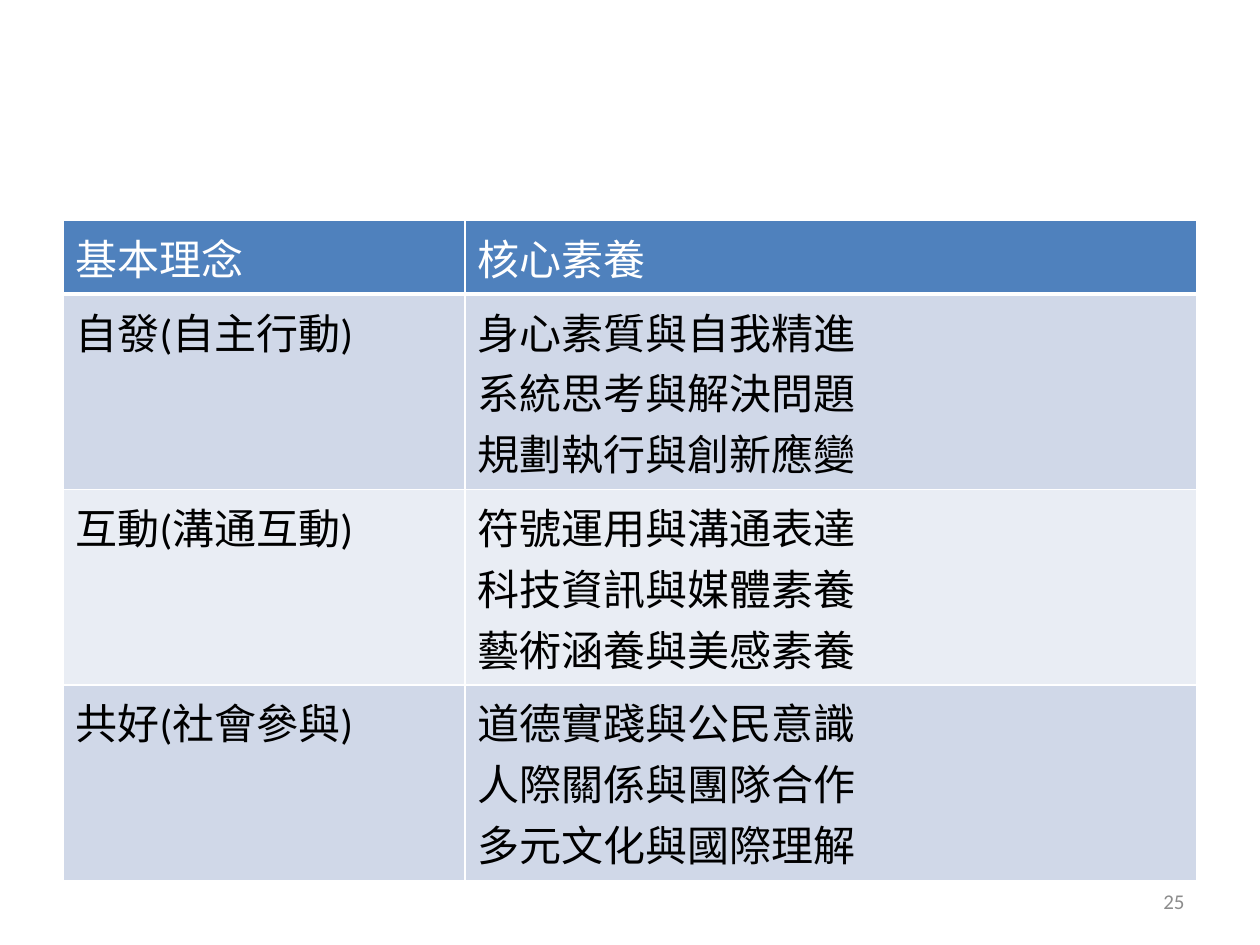
from dataclasses import dataclass

from lxml.etree import SubElement
from pptx import Presentation
from pptx.dml.color import RGBColor
from pptx.enum.text import MSO_ANCHOR, PP_ALIGN
from pptx.oxml.ns import qn
from pptx.util import Inches, Pt

FONT = "Calibri"
COLORS = {
    "header": "4F81BD",
    "band_dark": "D0D8E8",
    "band_light": "E9EDF4",
    "white": "FFFFFF",
    "text": "000000",
    "number": "8C8C8C",
}
WIDTH, HEIGHT = Inches(10), Inches(7.5)
MARGIN = 0.05  # share of the slide width
ID_COLUMN = 0.319  # share of the slide width
HEADER_ROW, BODY_ROW = Inches(0.5), Inches(1.3)


@dataclass
class Row:
    idea: str
    competencies: list[str]


HEADER = Row("基本理念", ["核心素養"])
BODY = [
    Row("自發(自主行動)", ["身心素質與自我精進", "系統思考與解決問題", "規劃執行與創新應變"]),
    Row("互動(溝通互動)", ["符號運用與溝通表達", "科技資訊與媒體素養", "藝術涵養與美感素養"]),
    Row("共好(社會參與)", ["道德實踐與公民意識", "人際關係與團隊合作", "多元文化與國際理解"]),
]


def rgb(name: str) -> RGBColor:
    return RGBColor.from_string(COLORS[name])


def add_run(p, text: str, size: int, color: str) -> None:
    r = p.add_run()
    r.text = text
    r.font.name = FONT
    r.font.size = Pt(size)
    r.font.bold = False
    r.font.color.rgb = rgb(color)


def set_borders(cell, top: int, bottom: int) -> None:
    """Draw white cell borders; the side lines are 1 pt wide."""
    tc_pr = cell._tc.get_or_add_tcPr()
    widths = {"a:lnL": 1, "a:lnR": 1, "a:lnT": top, "a:lnB": bottom}
    for tag, width in widths.items():
        ln = SubElement(tc_pr, qn(tag), w=str(Pt(width)))
        fill = SubElement(ln, qn("a:solidFill"))
        SubElement(fill, qn("a:srgbClr"), val=COLORS["white"])


def fill_cell(cell, lines: list[str], fill: str, color: str,
              top: int = 1, bottom: int = 1) -> None:
    set_borders(cell, top, bottom)
    cell.fill.solid()
    cell.fill.fore_color.rgb = rgb(fill)
    tf = cell.text_frame
    for i, line in enumerate(lines):
        p = tf.add_paragraph() if i else tf.paragraphs[0]
        add_run(p, line, 24, color)


def add_competency_table(slide) -> None:
    left = int(WIDTH * MARGIN)
    width = WIDTH - 2 * left
    height = HEADER_ROW + len(BODY) * BODY_ROW
    table = slide.shapes.add_table(
        len(BODY) + 1, 2, left, Inches(1.75), width, height).table
    table.first_row = table.horz_banding = False
    table.columns[0].width = int(WIDTH * ID_COLUMN)
    table.columns[1].width = width - table.columns[0].width

    for i, row in enumerate([HEADER, *BODY]):
        table.rows[i].height = BODY_ROW if i else HEADER_ROW
        if i == 0:
            fill, color = "header", "white"
        else:
            fill, color = ("band_dark" if i % 2 else "band_light"), "text"
        for col, lines in enumerate([[row.idea], row.competencies]):
            fill_cell(table.cell(i, col), lines, fill, color,
                      top=3 if i == 1 else 1, bottom=1 if i else 3)


def add_slide_number(slide, number: str) -> None:
    width = Inches(2.33)
    left = int(WIDTH * (1 - MARGIN)) - width
    tf = slide.shapes.add_textbox(left, Inches(6.95), width, Inches(0.4)).text_frame
    tf.word_wrap = True
    tf.vertical_anchor = MSO_ANCHOR.MIDDLE
    p = tf.paragraphs[0]
    p.alignment = PP_ALIGN.RIGHT
    add_run(p, number, 12, "number")


def main() -> None:
    prs = Presentation()
    prs.slide_width, prs.slide_height = WIDTH, HEIGHT
    slide = prs.slides.add_slide(prs.slide_layouts[6])
    add_competency_table(slide)
    add_slide_number(slide, "25")
    prs.save("out.pptx")


if __name__ == "__main__":
    main()
